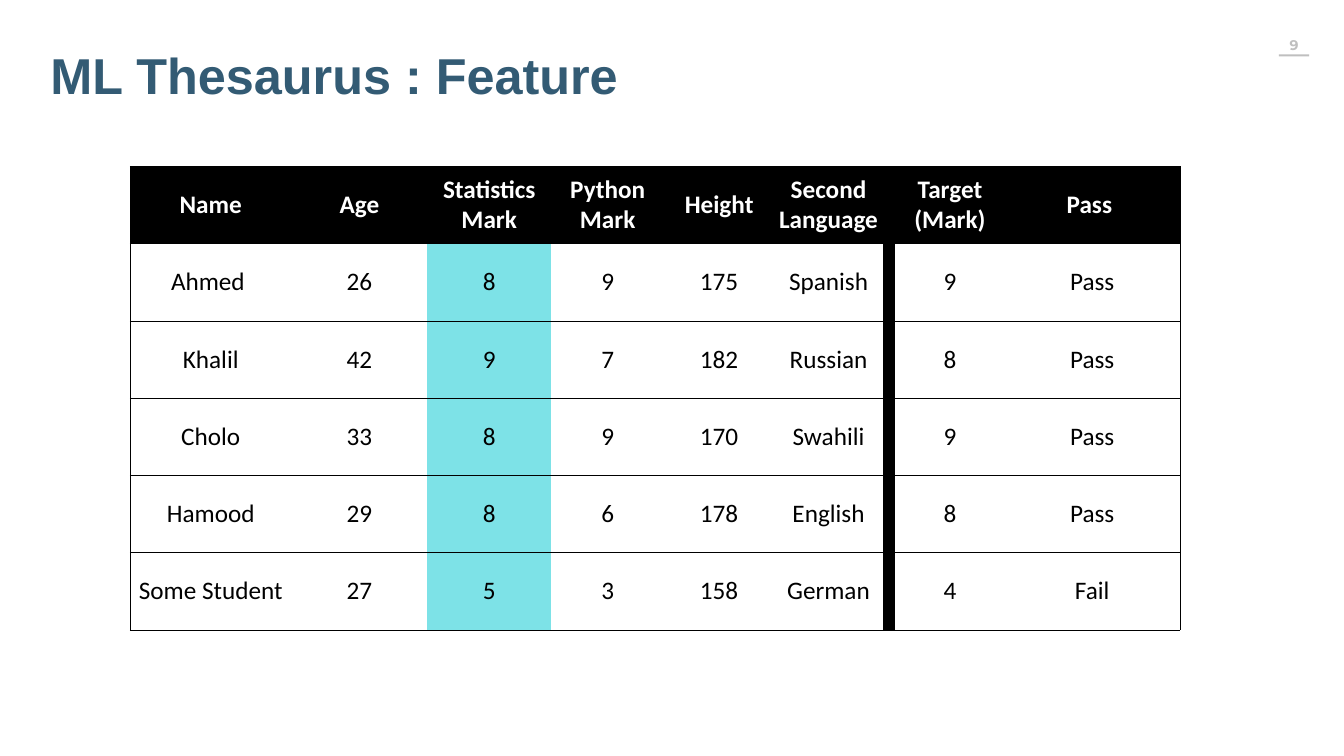
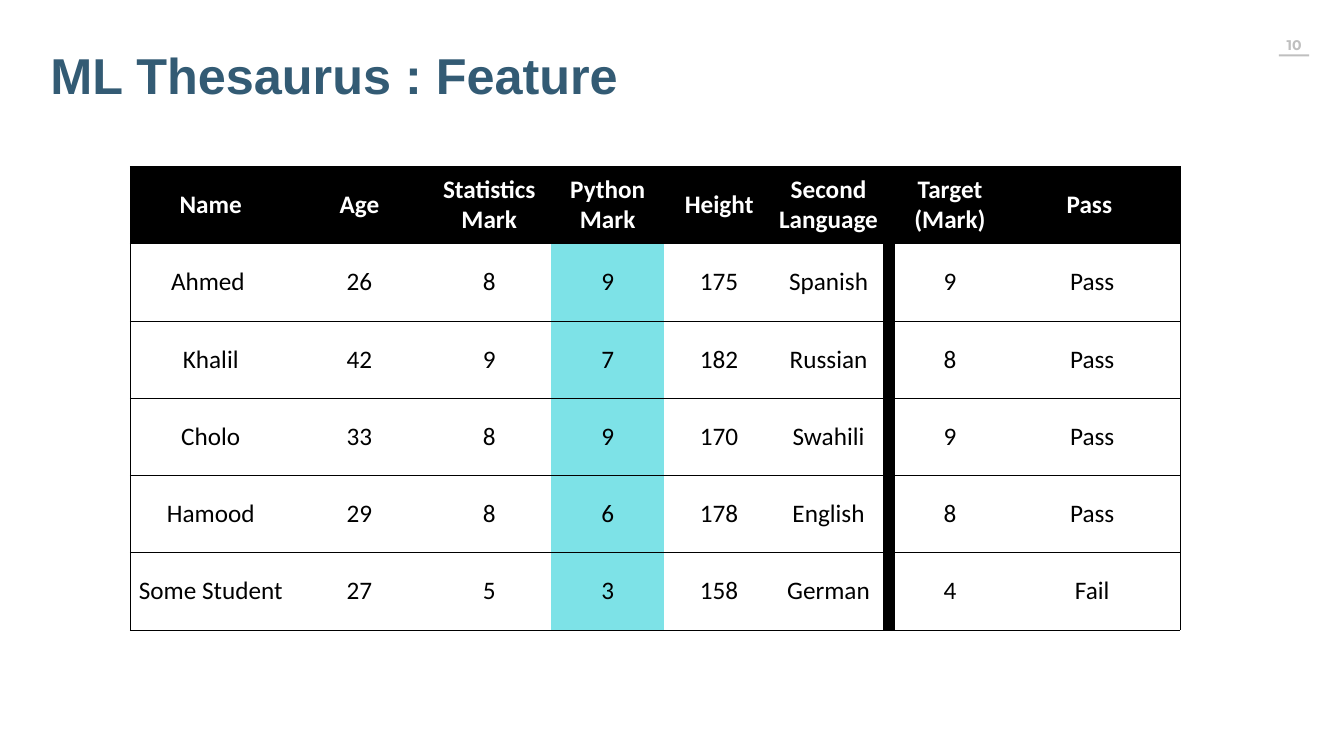
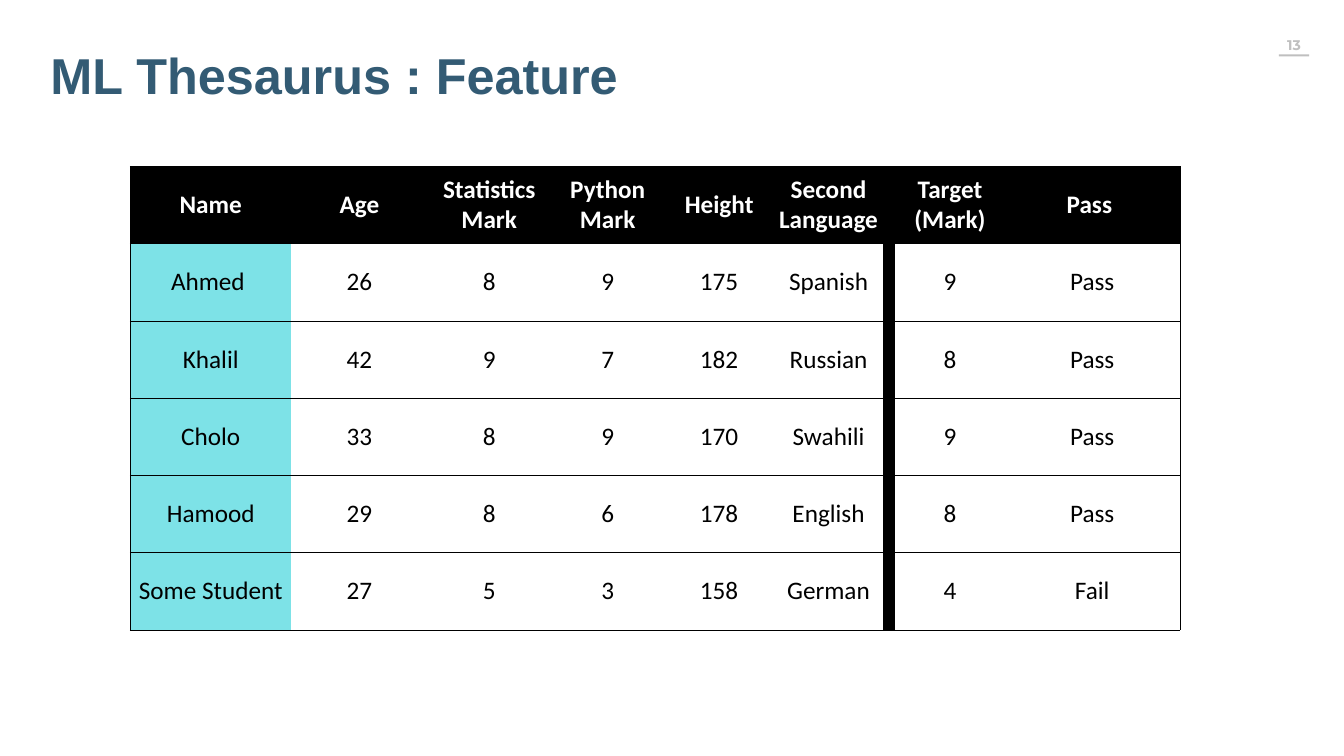
from lxml import etree
from pptx import Presentation
from pptx import util as u
from pptx.dml.color import RGBColor
from pptx.enum import shapes, text
from pptx.oxml.ns import qn

HEADINGS = ["Name", "Age", "Statistics Mark", "Python Mark", "Height",
            "Second Language", "", "Target\n(Mark)", "Pass "]
STUDENTS = [
    ["Ahmed ", "26", "8", "9", "175", "Spanish", "", "9", "Pass"],
    ["Khalil", "42", "9", "7", "182", "Russian", "", "8", "Pass"],
    ["Cholo", "33", "8", "9", "170", "Swahili", "", "9", "Pass"],
    ["Hamood", "29", "8", "6", "178", "English", "", "8", "Pass"],
    ["Some Student", "27", "5", "3", "158", "German", "", "4", "Fail"],
]
COLUMN_SHARES = [12, 10.13, 9.19, 8.44, 8.14, 8.14, 0.86, 8.14, 13.02]
DIVIDER = HEADINGS.index("")
SLIDES = [("9", "Statistics Mark"), ("10", "Python Mark"), ("13", "Name")]
PLAIN_TABLE_STYLE = "{2D5ABB26-0587-4C30-8999-92F81FD0307C}"


def colour(value):
    return RGBColor.from_string(value)


class Deck:
    INK, PAPER = "000000", "FFFFFF"
    TITLE, MUTED, HIGHLIGHT = "335B74", "BFBFBF", "7DE2E7"

    def __init__(self):
        self.prs = Presentation()
        self.prs.slide_width = u.Inches(26.66)
        self.prs.slide_height = u.Inches(15)
        self.slide = None

    def across(self, share):
        return round(self.prs.slide_width * share / 100)

    def down(self, share):
        return round(self.prs.slide_height * share / 100)

    def area(self, left, top, width, height):
        return self.across(left), self.down(top), self.across(width), self.down(height)

    def style(self, frame, font, size, hue, bold, align):
        for paragraph in frame.paragraphs:
            paragraph.alignment = align
            paragraph.font.name = font
            paragraph.font.size = u.Pt(size)
            paragraph.font.bold = bold
            paragraph.font.color.rgb = colour(hue)

    def start(self, heading, number):
        self.slide = self.prs.slides.add_slide(self.prs.slide_layouts[5])
        self.page_number(number)
        self.title(heading)

    def title(self, heading):
        title = self.slide.shapes.title
        title.left, title.top, title.width, title.height = self.area(3.38, 5.47, 78.39, 8.73)
        frame = title.text_frame
        frame.text = heading
        frame.vertical_anchor = text.MSO_ANCHOR.TOP
        frame.auto_size = text.MSO_AUTO_SIZE.NONE
        self.style(frame, "Arial", 72, self.TITLE, True, text.PP_ALIGN.LEFT)

    def page_number(self, number):
        frame = self.slide.shapes.add_textbox(*self.area(94.94, 4.13, 3.23, 3.6)).text_frame
        frame.text = number
        frame.word_wrap = False
        frame.margin_left, frame.margin_right = u.Inches(0.1), u.Inches(0.24)
        frame.margin_top = frame.margin_bottom = u.Inches(0.1)
        self.style(frame, "Montserrat", 20, self.MUTED, True, text.PP_ALIGN.CENTER)
        underline = self.slide.shapes.add_shape(
            shapes.MSO_SHAPE.RECTANGLE, *self.area(95.16, 7.2, 2.25, 0.27))
        underline.shadow.inherit = False
        underline.fill.solid()
        underline.fill.fore_color.rgb = colour(self.MUTED)
        underline.line.fill.background()

    def borders(self, cell, sides):
        properties = cell._tc.get_or_add_tcPr()
        for side in sides:
            line = etree.SubElement(properties, qn(f"a:ln{side}"), w=str(u.Pt(0.5)))
            fill = etree.SubElement(line, qn("a:solidFill"))
            etree.SubElement(fill, qn("a:srgbClr"), val=self.INK)

    def cell(self, cell, words, fill, hue, bold, sides):
        self.borders(cell, sides)
        if fill:
            cell.fill.solid()
            cell.fill.fore_color.rgb = colour(fill)
        else:
            cell.fill.background()
        cell.vertical_anchor = text.MSO_ANCHOR.MIDDLE
        cell.text = words
        self.style(cell.text_frame, "Calibri", 36, hue, bold, text.PP_ALIGN.CENTER)

    def table(self, rows, feature):
        marks = self.slide.shapes.add_table(
            len(rows), len(rows[0]), *self.area(9.68, 22, sum(COLUMN_SHARES), 61.33)).table
        marks.horz_banding = False
        marks._tbl.tblPr.find(qn("a:tableStyleId")).text = PLAIN_TABLE_STYLE
        for column, share in zip(marks.columns, COLUMN_SHARES):
            column.width = self.across(share)
        highlighted = rows[0].index(feature)
        for r, row in enumerate(rows):
            for c, words in enumerate(row):
                header = r == 0
                fill = (self.INK if header or c == DIVIDER
                        else self.HIGHLIGHT if c == highlighted else None)
                sides = "L" * (c == 0) + "R" * (c == len(row) - 1) + "TB"
                self.cell(marks.cell(r, c), words, fill,
                          self.PAPER if header else self.INK, header, sides)


def main():
    deck = Deck()
    for number, feature in SLIDES:
        deck.start("ML Thesaurus : Feature", number)
        deck.table([HEADINGS] + STUDENTS, feature)
    deck.prs.save("out.pptx")


if __name__ == "__main__":
    main()
